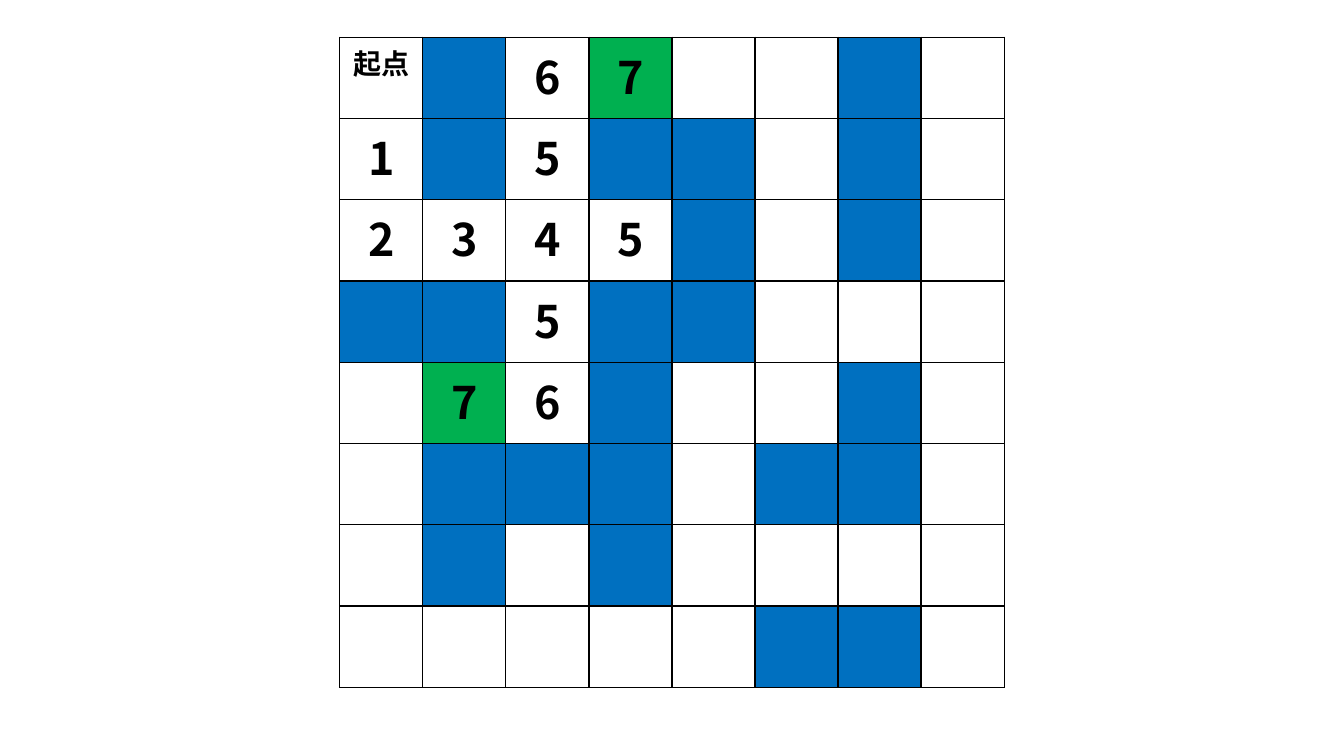
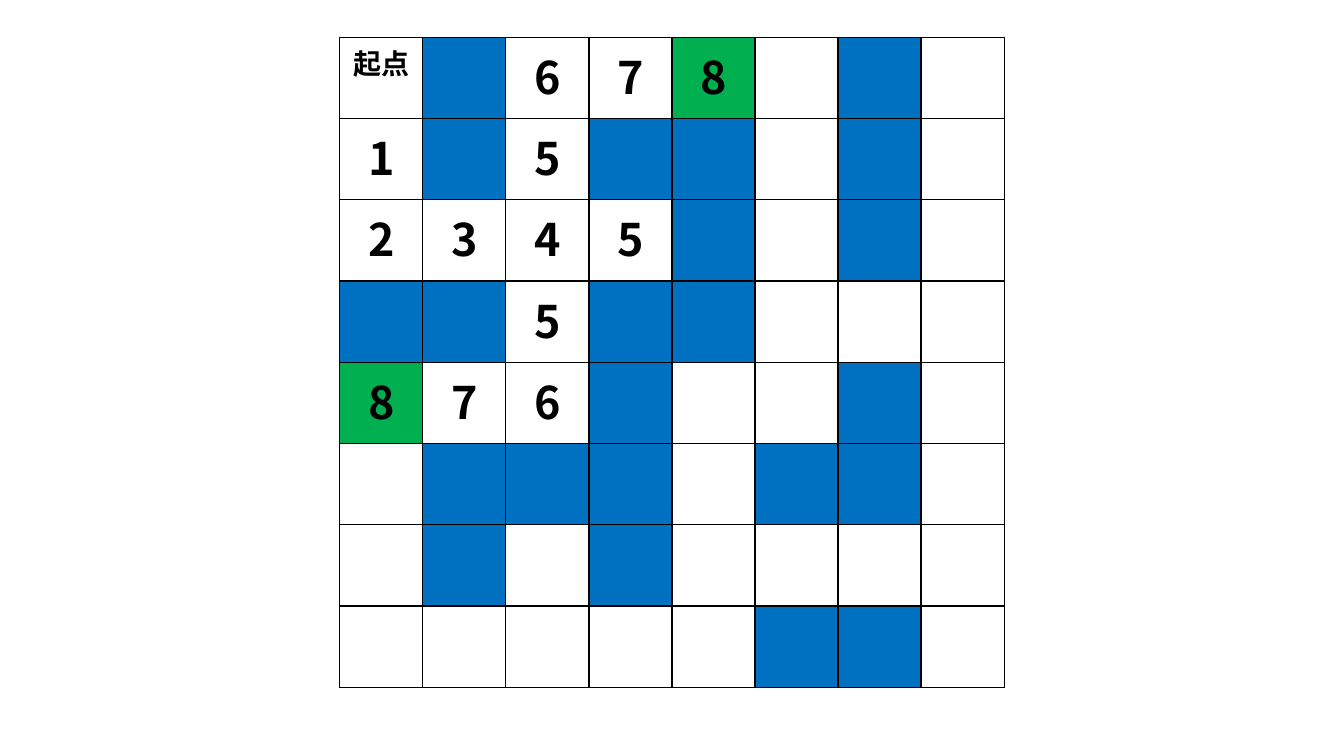
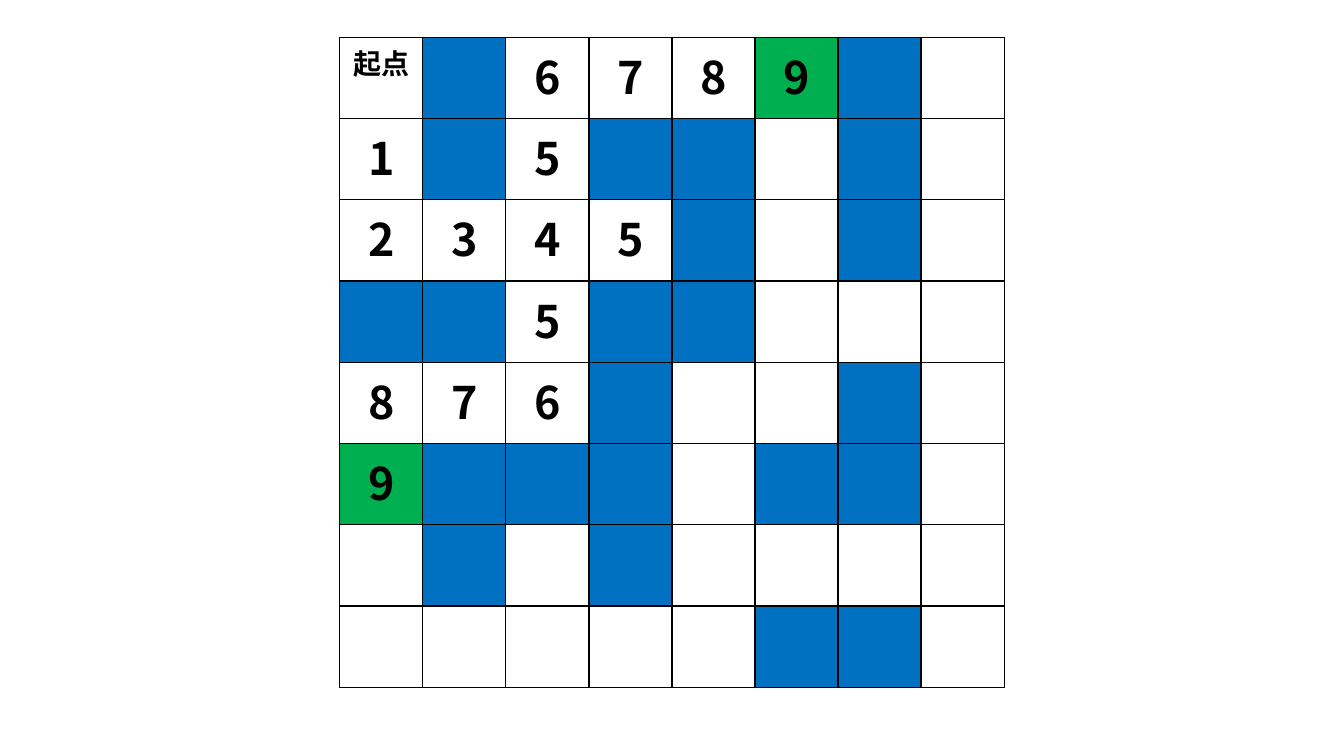
from dataclasses import dataclass

from lxml.etree import SubElement
from pptx import Presentation
from pptx.dml.color import RGBColor
from pptx.enum.text import PP_ALIGN as Align
from pptx.oxml.ns import qn
from pptx.util import Inches, Pt

SLIDE_WIDTH, SLIDE_HEIGHT = 13.33, 7.5
BOARD_LEFT, BOARD_TOP = 3.37, 0.37
BOARD_WIDTH, BOARD_HEIGHT = 6.59, 6.45

FONT = "Noto Sans CJK SC"
INK, FLOOR, WALL, FRONTIER = "000000", "FFFFFF", "0070C0", "00B050"

# One character per cell: "#" is a wall, "." is open floor.
MAZE = (
    ".#....#.",
    ".#.##.#.",
    "....#.#.",
    "##.##...",
    "...#..#.",
    ".###.##.",
    ".#.#....",
    ".....##.",
)
SIZE = len(MAZE)
START = (0, 0)
SEARCH_DEPTHS = (7, 8, 9)


@dataclass(frozen=True)
class Square:
    fill: str
    label: str = ""
    font_size: int = 32


def rgb(code: str) -> RGBColor:
    return RGBColor.from_string(code)


def search(depth: int) -> dict[tuple[int, int], int]:
    """Breadth-first step counts from START, up to the given depth."""
    steps = {START: 0}
    edge = [START]
    for step in range(1, depth + 1):
        reached = []
        for row, col in edge:
            for near in ((row + 1, col), (row - 1, col), (row, col + 1), (row, col - 1)):
                inside = all(0 <= index < SIZE for index in near)
                if inside and near not in steps and MAZE[near[0]][near[1]] == ".":
                    steps[near] = step
                    reached.append(near)
        edge = reached
    return steps


def square_at(row: int, col: int, steps: dict[tuple[int, int], int], depth: int) -> Square:
    if MAZE[row][col] == "#":
        return Square(WALL)
    if (row, col) == START:
        return Square(FLOOR, "起点", 20)
    step = steps.get((row, col))
    if step is None:
        return Square(FLOOR)
    return Square(FRONTIER if step == depth else FLOOR, str(step))


def write(frame, text: str, *, size: int, color: str = INK, bold: bool = True,
          align: Align = Align.CENTER) -> None:
    paragraph = frame.paragraphs[0]
    paragraph.alignment = align
    run = paragraph.add_run()
    run.text = text
    font = run.font
    font.size, font.bold, font.name = Pt(size), bold, FONT
    font.color.rgb = rgb(color)
    SubElement(font._element, qn("a:ea"), typeface=FONT)


def add_borders(cell, color: str = INK, width: float = 1) -> None:
    properties = cell._tc.get_or_add_tcPr()
    for side in ("L", "R", "T", "B"):
        line = SubElement(properties, qn(f"a:ln{side}"), w=str(Pt(width)))
        SubElement(SubElement(line, qn("a:solidFill")), qn("a:srgbClr"), val=color)


def draw_square(cell, square: Square) -> None:
    add_borders(cell)
    cell.fill.solid()
    cell.fill.fore_color.rgb = rgb(square.fill)
    if square.label:
        write(cell.text_frame, square.label, size=square.font_size)


def add_board(slide, depth: int) -> None:
    board = slide.shapes.add_table(
        SIZE, SIZE, Inches(BOARD_LEFT), Inches(BOARD_TOP),
        Inches(BOARD_WIDTH), Inches(BOARD_HEIGHT),
    ).table
    board.first_row = board.horz_banding = False
    steps = search(depth)
    for row in range(SIZE):
        for col in range(SIZE):
            draw_square(board.cell(row, col), square_at(row, col, steps, depth))


def main() -> None:
    deck = Presentation()
    deck.slide_width, deck.slide_height = Inches(SLIDE_WIDTH), Inches(SLIDE_HEIGHT)
    blank = deck.slide_layouts[6]
    for depth in SEARCH_DEPTHS:
        add_board(deck.slides.add_slide(blank), depth)
    deck.save("out.pptx")


if __name__ == "__main__":
    main()
